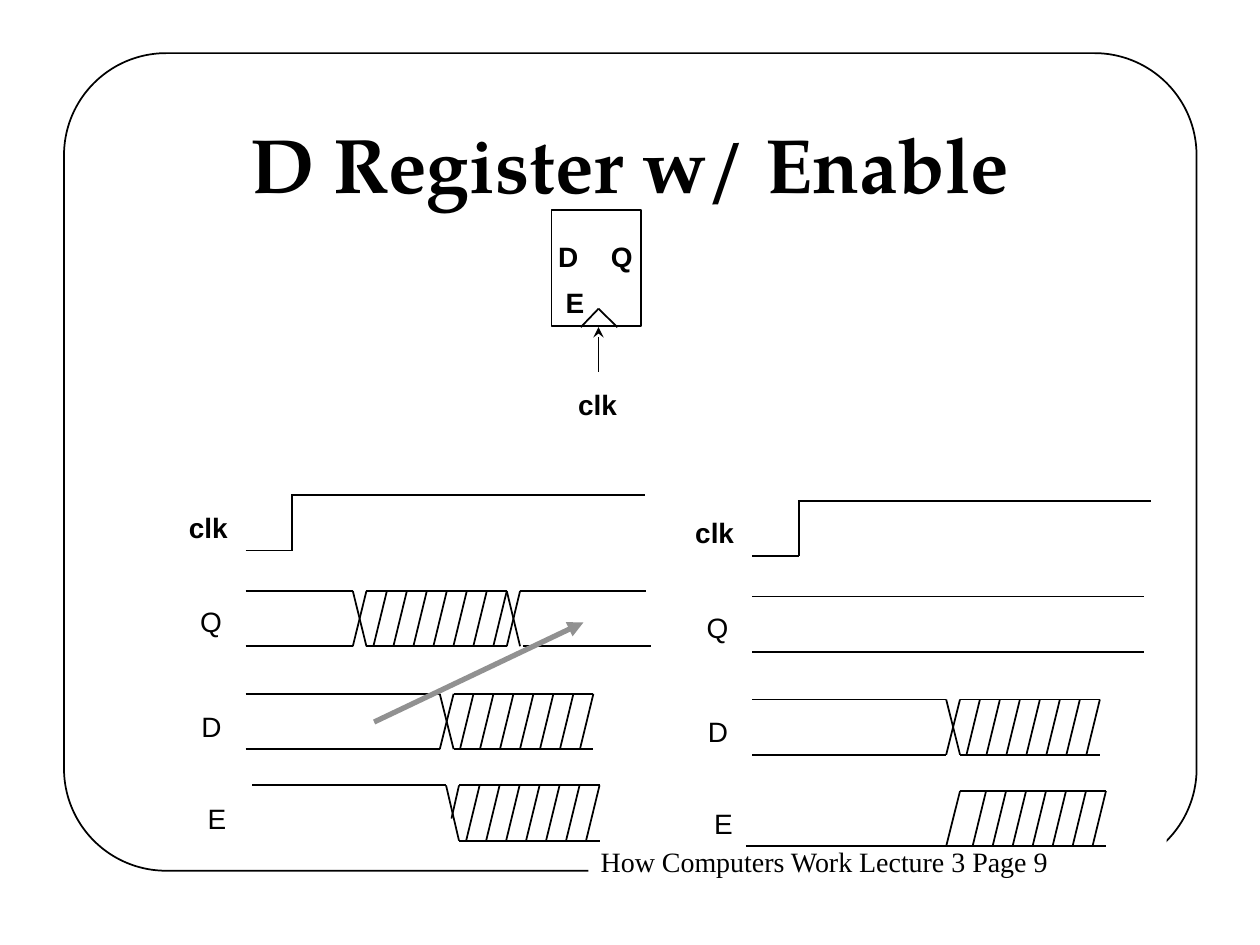
from lxml import etree
from pptx import Presentation
from pptx import util as u
from pptx.dml.color import RGBColor
from pptx.enum import shapes, text
from pptx.oxml.ns import qn

BLACK = RGBColor(0x00, 0x00, 0x00)
WHITE = RGBColor(0xFF, 0xFF, 0xFF)
GREY = RGBColor(0x91, 0x91, 0x91)

# ---- Content (lengths in points) ----
TITLE = "D Register w/ Enable"
FOOTER = "How Computers Work Lecture 3 Page 9"
LABEL_H = 26.6

# Text, left, top, width, bold
SIGNAL_LABELS = [
    ("clk", 100.8, 288, 37.4, True),
    ("Q", 107.3, 342, 27.4, False),
    ("D", 108, 401.8, 25.9, False),
    ("E", 111.6, 454.3, 23.8, False),
]
REGISTER_LABELS = [
    ("Q", 342, 133.2, 27.4, True),
    ("D", 311.8, 133.2, 26.6, True),
    ("E", 316.1, 159.8, 23.8, True),
    ("clk", 323.3, 218.2, 37.4, True),
]

# Waveforms: each signal swings between its high level and SWING below it
HIGH_LEVEL = {"clk": 283, "Q": 337.7, "D": 396.5, "E": 448.8}
SWING = 31.6
HIGH, LOW = 0, 1

# Edges: signal, x1, level1, x2, level2
CLOCK = [
    ("clk", 140.4, LOW, 167, LOW),
    ("clk", 167, LOW, 167, HIGH),
    ("clk", 166.5, HIGH, 368.6, HIGH),
]
DATA = [
    ("D", 140.4, HIGH, 251.3, HIGH),
    ("D", 140.4, LOW, 251.3, LOW),
    ("D", 251.3, LOW, 259.2, HIGH),
    ("D", 251.3, HIGH, 259.2, LOW),
]
Q_CHANGES = [
    ("Q", 140.4, HIGH, 201.6, HIGH),
    ("Q", 140.4, LOW, 201.6, LOW),
    ("Q", 201.6, LOW, 209.4, HIGH),
    ("Q", 201.6, HIGH, 209.4, LOW),
    ("Q", 289.6, LOW, 297.2, HIGH),
    ("Q", 289.6, HIGH, 297.2, LOW),
    ("Q", 297, HIGH, 369.4, HIGH),
    ("Q", 298.8, LOW, 372.2, LOW),
]
Q_HOLDS = [
    ("Q", 140.4, HIGH, 364.3, HIGH),
    ("Q", 140.4, LOW, 364.3, LOW),
]
E_FALLS = [
    ("E", 144, HIGH, 254.9, HIGH),
    ("E", 254.9, HIGH, 262.3, LOW),
    ("E", 258, 0.6, 262.3, HIGH),
]
E_RISES = [
    ("E", 136.8, LOW, 265, LOW),
    ("E", 251.3, LOW, 259.2, HIGH),
]

# Unknown regions: signal, left on high rail, left on low rail, right
D_UNKNOWN = ("D", 259.2, 259.2, 339.1)
PANELS = [
    dict(dx=0, dy=0, edges=CLOCK + Q_CHANGES + DATA + E_FALLS,
         unknown=[("Q", 209.4, 209.4, 289.6), D_UNKNOWN,
                  ("E", 262.3, 262.3, 342.6)]),
    dict(dx=289.4, dy=3.2, edges=CLOCK + Q_HOLDS + DATA + E_RISES,
         unknown=[D_UNKNOWN, ("E", 259.2, 262.3, 342.6)]),
]
HATCHES, HATCH_STEP, HATCH_LEAN = 7, 11.42, 7.7

prs = Presentation()
prs.slide_width, prs.slide_height = u.Pt(720), u.Pt(540)
slide = prs.slides.add_slide(prs.slide_layouts[6])


def add_line(x1, y1, x2, y2, color=BLACK, width=1, arrow=None):
    """Draw a line; arrow names the arrowhead at its far end."""
    line = slide.shapes.add_connector(
        shapes.MSO_CONNECTOR.STRAIGHT, *map(u.Pt, (x1, y1, x2, y2)))
    line.line.color.rgb = color
    line.line.width = u.Pt(width)
    if arrow:
        etree.SubElement(line.line._get_or_add_ln(), qn("a:tailEnd"), type=arrow)
    etree.SubElement(line._element.spPr, qn("a:effectLst"))


def add_box(kind, x, y, w, h, fill=None, outline=BLACK):
    box = slide.shapes.add_shape(kind, *map(u.Pt, (x, y, w, h)))
    box.shadow.inherit = False
    if fill is None:
        box.fill.background()
    else:
        box.fill.solid()
        box.fill.fore_color.rgb = fill
    if outline is None:
        box.line.fill.background()
    else:
        box.line.color.rgb = outline
        box.line.width = u.Pt(1)
    return box


def write(box, words, size=16, font="Arial", bold=False, wrap=False,
          align=text.PP_ALIGN.LEFT, anchor=text.MSO_ANCHOR.TOP):
    frame = box.text_frame
    frame.word_wrap = wrap
    frame.vertical_anchor = anchor
    paragraph = frame.paragraphs[0]
    paragraph.text = words
    paragraph.alignment = align
    paragraph.font.size = u.Pt(size)
    paragraph.font.name = font
    paragraph.font.bold = bold
    paragraph.font.color.rgb = BLACK


def add_label(words, x, y, w, bold):
    write(slide.shapes.add_textbox(*map(u.Pt, (x, y, w, LABEL_H))), words, bold=bold)


def draw_panel(dx, dy, edges, unknown):
    def draw_edge(signal, x1, level1, x2, level2):
        top = HIGH_LEVEL[signal] + dy
        add_line(x1 + dx, top + level1 * SWING, x2 + dx, top + level2 * SWING)

    for edge in edges:
        draw_edge(*edge)
    for signal, high_left, low_left, right in unknown:
        draw_edge(signal, high_left, HIGH, right, HIGH)
        draw_edge(signal, low_left, LOW, right, LOW)
        for i in range(HATCHES):
            x = right - i * HATCH_STEP
            draw_edge(signal, x - HATCH_LEAN, LOW, x, HIGH)
    for words, x, y, w, bold in SIGNAL_LABELS:
        add_label(words, x + dx, y + dy, w, bold)


# Frame, footer and title
frame = add_box(shapes.MSO_SHAPE.ROUNDED_RECTANGLE, 36.6, 30.4, 647.2, 467.2)
frame.adjustments[0] = 0.125
footer = add_box(shapes.MSO_SHAPE.RECTANGLE, 336.2, 478.8, 330.5, LABEL_H, WHITE, None)
write(footer, FOOTER, font="Times New Roman")
title = slide.shapes.add_textbox(*map(u.Pt, (54, 48.2, 612, 90)))
write(title, TITLE, 44, "TeX Gyre Pagella", True, True,
      text.PP_ALIGN.CENTER, text.MSO_ANCHOR.MIDDLE)

# Timing diagrams
for panel in PANELS:
    draw_panel(**panel)
add_line(213.8, 412.6, 333.4, 355.7, GREY, 3, "triangle")

# Register symbol with its clock input
add_box(shapes.MSO_SHAPE.RECTANGLE, 315.2, 120.2, 51.1, 66.2, WHITE)
for label in REGISTER_LABELS:
    add_label(*label)
add_line(342, 212.4, 342, 187, arrow="stealth")
for corner in (331.9, 352.8):
    add_line(corner, 187, 342, 176.4)

prs.save("out.pptx")
